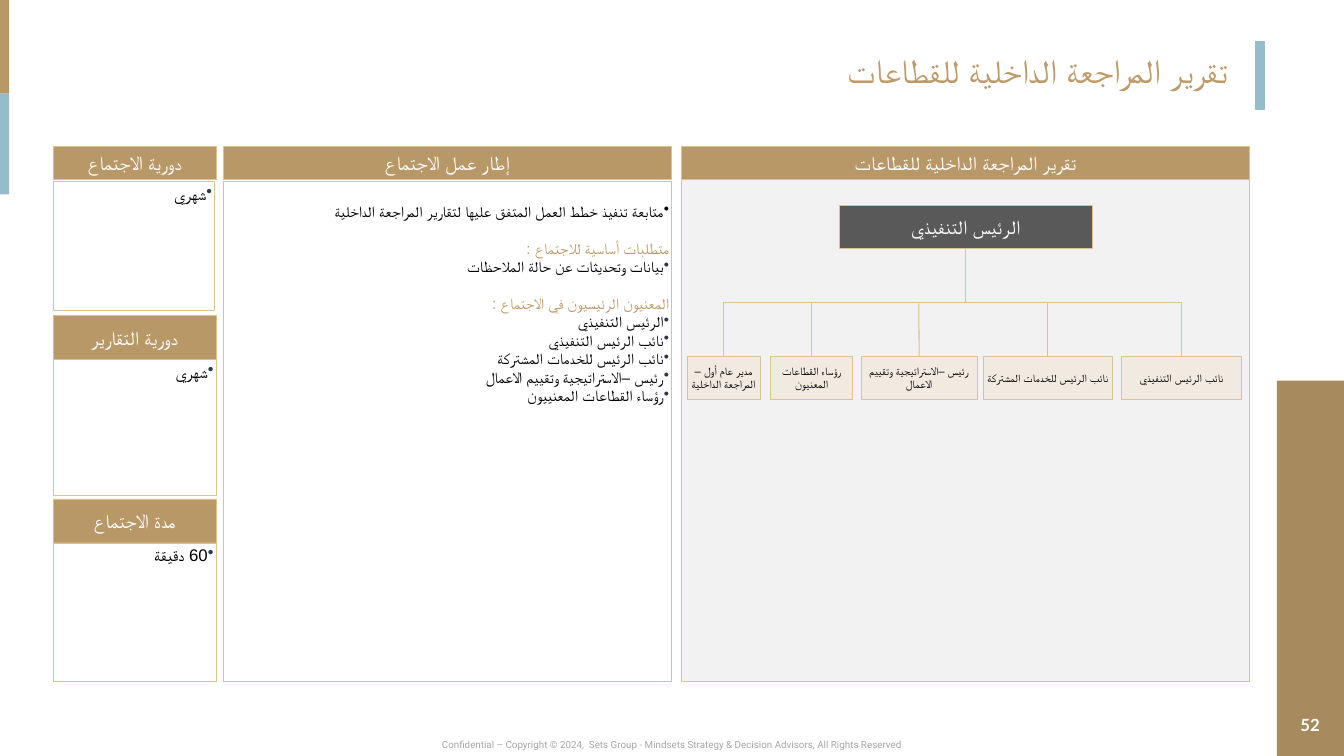
from lxml import etree
from pptx import Presentation
from pptx.dml.color import RGBColor
from pptx.enum.shapes import MSO_CONNECTOR as CONN, MSO_SHAPE as SHAPE
from pptx.enum.text import MSO_ANCHOR as ANCHOR, PP_ALIGN as ALIGN
from pptx.oxml.ns import qn
from pptx.util import Pt

PX = 9144
GOLD, EDGE, BLUE, WHITE, BLACK = "B99868", "DCC28C", "94BCCB", "FFFFFF", "000000"
HEADING, BULLET, ARABIC = "BC9A69", "293947", "Arial"
HEADER = {"size": 28, "color": WHITE}
ITEM = {"size": 24, "align": ALIGN.RIGHT, "bullet": BULLET}
FRAME_ITEM = {"size": 22, "font": "Roboto", "align": ALIGN.RIGHT, "bullet": BULLET}
FRAME_HEAD = {"size": 22, "color": HEADING, "align": ALIGN.RIGHT, "spacing": {"space_before": Pt(26)}}


def px(*values):
    """Turn px lengths into EMU."""
    return [round(v * PX) for v in values]


def rgb(value):
    """Turn a hex string into a colour."""
    return RGBColor.from_string(value)


def apply(target, values):
    """Set attributes from a dict of format values."""
    for name, value in values.items():
        setattr(target, name, value)


def frame(sp, anchor=ANCHOR.MIDDLE, insets=(4, 4, 4, 4)):
    """Set the wrapping, anchor and insets of a shape's text."""
    left, top, right, bottom = px(*insets)
    apply(sp.text_frame, {
        "word_wrap": True, "vertical_anchor": anchor,
        "margin_left": left, "margin_top": top, "margin_right": right, "margin_bottom": bottom})


def write(p, text, size, font="Lato", color=BLACK, align=ALIGN.CENTER,
          rtl=True, bullet=None, bold=False, spacing=None):
    """Fill one paragraph with formatted text."""
    pPr = p._p.get_or_add_pPr()
    if rtl:
        pPr.set("rtl", "1")
    if bullet:
        pPr.set("marL", str(10 * PX))
        pPr.set("indent", str(-10 * PX))
        clr = etree.SubElement(pPr, qn("a:buClr"))
        etree.SubElement(clr, qn("a:srgbClr")).set("val", bullet)
        etree.SubElement(pPr, qn("a:buChar")).set("char", "•")
    apply(p, {"alignment": align, **(spacing or {})})
    r = p.add_run()
    r.text = text
    apply(r.font, {"size": Pt(size), "bold": bold, "name": font})
    r.font.color.rgb = rgb(color)
    if rtl:
        etree.SubElement(r.font._element, qn("a:cs")).set("typeface", ARABIC)


def rect(slide, box, fill, edge=None, width=0.75):
    """Add a plain rectangle."""
    sp = slide.shapes.add_shape(SHAPE.RECTANGLE, *px(*box))
    sp.shadow.inherit = False
    sp.fill.solid()
    sp.fill.fore_color.rgb = rgb(fill)
    if edge:
        sp.line.color.rgb = rgb(edge)
        sp.line.width = Pt(width)
    else:
        sp.line.fill.background()
    return sp


def label(slide, box, fill, text, **style):
    """Add an edged rectangle with one centred label."""
    sp = rect(slide, box, fill, EDGE)
    frame(sp)
    write(sp.text_frame.paragraphs[0], text, **style)
    return sp


def text_box(slide, box, text, insets=(0, 0, 0, 0), **style):
    """Add a text box with one paragraph."""
    sp = slide.shapes.add_textbox(*px(*box))
    frame(sp, insets=insets)
    write(sp.text_frame.paragraphs[0], text, **style)


def panel(slide, box, paragraphs, top_inset=4):
    """Add a white panel with a list of paragraphs."""
    sp = rect(slide, box, WHITE, EDGE)
    frame(sp, ANCHOR.TOP, (4, top_inset, 4, 4))
    tf = sp.text_frame
    for i, (text, style) in enumerate(paragraphs):
        write(tf.add_paragraph() if i else tf.paragraphs[0], text, **style)


def style_line(line):
    """Give a connector its colour and width and drop its shadow."""
    line.line.color.rgb = rgb(EDGE)
    line.line.width = Pt(1.5)
    etree.SubElement(line._element.spPr, qn("a:effectLst"))


def branch(slide, chief, member):
    """Join the chief's bottom to a member's top with a vertical elbow."""
    x1, y1 = chief.left + chief.width // 2, chief.top + chief.height
    x2, y2 = member.left + member.width // 2, member.top
    line = slide.shapes.add_connector(CONN.ELBOW, x1, y1, x2, y2)
    line.begin_connect(chief, 2)
    line.end_connect(member, 0)
    drop, span = y2 - y1, abs(x2 - x1)
    apply(line, {"left": (x1 + x2 - drop) // 2, "top": (y1 + y2 - span) // 2,
                 "width": drop, "height": span})
    xfrm = line._element.spPr.find(qn("a:xfrm"))
    right = x2 > x1
    for name, value in {"rot": "16200000" if right else "5400000",
                        "flipH": "1" if right else "0", "flipV": "0"}.items():
        xfrm.set(name, value)
    style_line(line)


def decoration(slide, w, h):
    """Place the colour bars, the footer and the page number."""
    rect(slide, (2489, 82, 18, 135), BLUE, BLUE, 0.85)
    for top, height, fill in ((0, 186, GOLD), (186, 200, BLUE)):
        rect(slide, (0, top, 18, height), fill)
    rect(slide, (w - 133, h - 745, 133, 745), "A78B5E")
    text_box(slide, (794, 1455, 1077, 45),
             "Confidential – Copyright © 2024,  Sets Group - Mindsets Strategy & Decision Advisors, "
             "All Rights Reserved", insets=(10, 5, 10, 5),
             size=14, font="Roboto", color="A6A6A6", rtl=False)
    text_box(slide, (2547, 1400, 102, 57), "52", insets=(20, 10, 20, 10), size=24,
             color=WHITE, bold=True, rtl=False, spacing={"line_spacing": 1.5})


def schedule(slide, x, y, w):
    """Stack the headed panels for meeting and report timing."""
    for title, item, top, head, gap, height, trim in (
            ("دورية الاجتماع", "شهري", 0, 65, 4, 256, 3),
            ("دورية التقارير", "شهري", 335, 87, 0, 270, 0),
            ("مدة الاجتماع", "60 دقيقة", 699, 87, 0, 275, 0)):
        label(slide, (x, y + top, w, head), GOLD, title, **HEADER)
        panel(slide, (x, y + top + head + gap, w - trim, height), [(item, ITEM)])


def framework(slide, x, y, w, h):
    """Place the meeting framework column."""
    label(slide, (x, y, w, 65), GOLD, "إطار عمل الاجتماع", **HEADER)
    panel(slide, (x, y + 69, w, h - 69), [
        ("متابعة تنفيذ خطط العمل المتفق عليها لتقارير المراجعة الداخلية", {**FRAME_ITEM, "bullet": BLACK}),
        ("متطلبات أساسية للاجتماع :", FRAME_HEAD),
        ("بيانات وتحديثات عن حالة الملاحظات", FRAME_ITEM),
        ("المعنيون الرئيسيون في الاجتماع :", FRAME_HEAD),
        ("الرئيس التنفيذي", FRAME_ITEM),
        ("نائب الرئيس التنفيذي", FRAME_ITEM),
        ("نائب الرئيس للخدمات المشتركة", FRAME_ITEM),
        ("رئيس –الاستراتيجية وتقييم الاعمال", FRAME_ITEM),
        ("رؤساء القطاعات المعنييون", FRAME_ITEM)], top_inset=41)


def organisation(slide, x, y, w, h):
    """Place the organisation chart column."""
    rect(slide, (x, y + 49, w, h - 49), "F2F2F2", EDGE)
    label(slide, (x, y, w, 65), GOLD, "تقرير المراجعة الداخلية للقطاعات", **HEADER)
    chief = label(slide, (x + 314, y + 117, 500, 85), "595959", "الرئيس التنفيذي", **HEADER)
    members = [
        label(slide, (x + left, y + 416, width, 85), "F1EAE1", text, size=16)
        for left, width, text in (
            (873, 238, "نائب الرئيس التنفيذي"),
            (599, 256, "نائب الرئيس للخدمات المشتركة"),
            (357, 229, "رئيس –الاستراتيجية وتقييم الاعمال"),
            (177, 163, "رؤساء القطاعات المعنيون"),
            (12, 144, "مدير عام أول –المراجعة الداخلية"))]
    middle = members.pop(2)
    for member in members:
        branch(slide, chief, member)
    line = slide.shapes.add_connector(CONN.STRAIGHT, *px(x + 471, y + 311, x + 472, y + 416))
    line.end_connect(middle, 0)
    style_line(line)


def main():
    """Build and save the slide."""
    prs = Presentation()
    w, h = 2665, 1500
    prs.slide_width, prs.slide_height = px(w, h)
    s = prs.slides.add_slide(prs.slide_layouts[6])
    decoration(s, w, h)
    text_box(s, (0, 67, 2435, 135), "تقرير المراجعة الداخلية للقطاعات", size=48,
             color=HEADING, align=ALIGN.RIGHT, spacing={"line_spacing": 1.1, "space_after": Pt(6)})
    schedule(s, 106, 291, 322)
    framework(s, 443, 291, 888, 1061)
    organisation(s, 1351, 291, 1127, 1061)
    prs.save("out.pptx")


if __name__ == "__main__":
    main()
